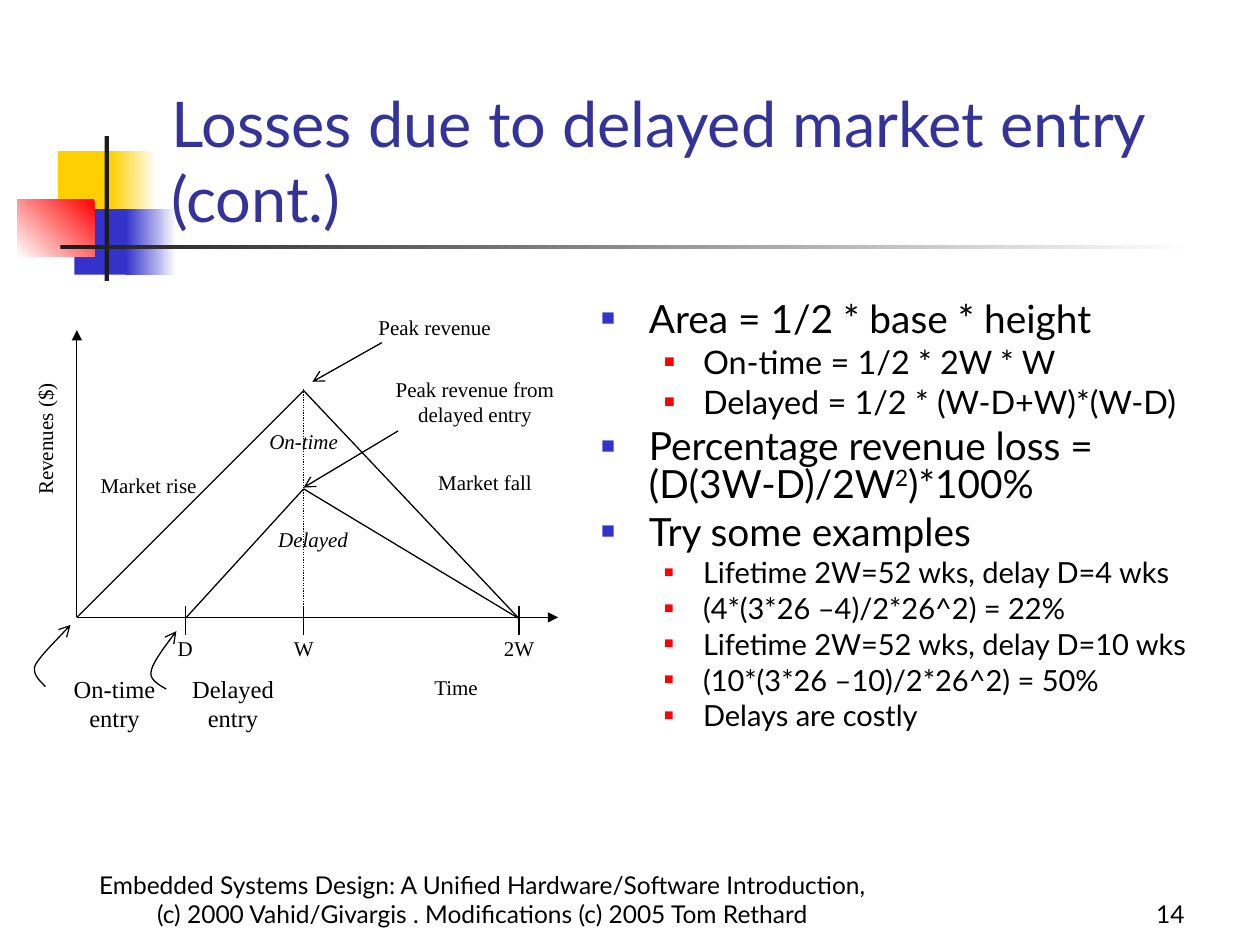
from lxml.etree import SubElement
from pptx import Presentation
from pptx.dml.color import RGBColor
from pptx.enum.dml import MSO_LINE
from pptx.enum.shapes import MSO_CONNECTOR, MSO_SHAPE
from pptx.enum.text import MSO_ANCHOR, MSO_AUTO_SIZE, PP_ALIGN
from pptx.oxml.ns import qn
from pptx.util import Inches, Pt

BLACK = RGBColor(0x00, 0x00, 0x00)
WHITE = RGBColor(0xFF, 0xFF, 0xFF)
YELLOW = RGBColor(0xFF, 0xCF, 0x01)
BLUE = RGBColor(0x33, 0x33, 0xCC)
RED = RGBColor(0xFF, 0x00, 0x00)
CHARCOAL = RGBColor(0x1C, 0x1C, 0x1C)
INDIGO = RGBColor(0x33, 0x33, 0x99)
SANS, SERIF = "Lato", "Times New Roman"
COLUMNS, ROWS = 100, 75


class SlideSketch:
    """Draws styled elements on one slide, with lengths in columns and rows of a 100 by 75 grid."""

    def __init__(self, deck):
        self.column = deck.slide_width / COLUMNS
        self.row = deck.slide_height / ROWS
        self.slide = deck.slides.add_slide(deck.slide_layouts[1])
        self.shapes = self.slide.shapes

    def place(self, x, y):
        return round(x * self.column), round(y * self.row)

    def frame(self, box):
        return self.place(*box[:2]) + self.place(*box[2:])

    def font(self, paragraph, size, name=SANS, color=BLACK, italic=None):
        font = paragraph.font
        font.size, font.name, font.italic = Pt(size), name, italic
        font.color.rgb = color

    def block(self, box, color, fade=None):
        block = self.shapes.add_shape(MSO_SHAPE.RECTANGLE, *self.frame(box))
        block.shadow.inherit = False
        block.line.fill.background()
        if fade is None:
            block.fill.solid()
            block.fill.fore_color.rgb = color
            return
        block.fill.gradient()
        block.fill.gradient_angle = fade
        for stop, shade in zip(block.fill.gradient_stops, (color, WHITE)):
            stop.color.rgb = shade

    def placeholder(self, holder, box):
        holder.left, holder.top, holder.width, holder.height = self.frame(box)
        self.shapes._spTree.append(holder._element)
        holder.text_frame.auto_size = MSO_AUTO_SIZE.NONE
        return holder.text_frame

    def title(self, box, text):
        heading = self.placeholder(self.shapes.title, box)
        heading.vertical_anchor = MSO_ANCHOR.BOTTOM
        heading.text = text
        heading.paragraphs[0].alignment = PP_ALIGN.LEFT
        self.font(heading.paragraphs[0], 36, color=INDIGO)

    def bullets(self, box, items):
        body = self.placeholder(self.slide.placeholders[1], box)
        for index, (level, size, before, text) in enumerate(items):
            item = body.paragraphs[0] if index == 0 else body.add_paragraph()
            item.level = level
            self.bullet(item, level)
            item.line_spacing = 0.8
            item.space_before = Pt(before if index else 0)
            for part, piece in enumerate(text.split("²")):
                if part:
                    square = item.add_run()
                    square.text = "2"
                    square.font._element.set("baseline", "30000")
                item.add_run().text = piece
            self.font(item, size)

    def bullet(self, paragraph, level):
        margin, hang, color, share = ((0.38, 0.38, BLUE, 60), (0.81, 0.31, RED, 55))[level]
        properties = paragraph._p.get_or_add_pPr()
        properties.set("marL", str(Inches(margin)))
        properties.set("indent", str(-Inches(hang)))
        SubElement(SubElement(properties, qn("a:buClr")), qn("a:srgbClr"), val=str(color))
        SubElement(properties, qn("a:buSzPct"), val=str(share * 1000))
        SubElement(properties, qn("a:buFont"), typeface="Arial")
        SubElement(properties, qn("a:buChar"), char="■")

    def label(self, box, text, size=12, italic=None, turn=0):
        label = self.shapes.add_textbox(*self.frame(box))
        label.rotation = turn
        frame = label.text_frame
        frame.word_wrap = True
        frame.margin_left = frame.margin_right = frame.margin_top = frame.margin_bottom = 0
        frame.text = text
        for paragraph in frame.paragraphs:
            paragraph.alignment = PP_ALIGN.CENTER
            self.font(paragraph, size, SERIF, italic=italic)

    def footer(self, box, text, alignment):
        footer = self.shapes.add_textbox(*self.frame(box)).text_frame
        footer.word_wrap = True
        footer.vertical_anchor = MSO_ANCHOR.BOTTOM
        footer.text = text
        footer.paragraphs[0].alignment = alignment
        self.font(footer.paragraphs[0], 14)

    def stroke(self, line, head=None, dash=None):
        line.color.rgb = BLACK
        line.width = Pt(0.75)
        if dash:
            line.dash_style = dash
        if head:
            SubElement(line._get_or_add_ln(), qn("a:tailEnd"), type=head)

    def line(self, start, end, head=None, dash=None):
        line = self.shapes.add_connector(
            MSO_CONNECTOR.STRAIGHT, *self.place(*start), *self.place(*end))
        self.stroke(line.line, head, dash)
        SubElement(line._element.spPr, qn("a:effectLst"))

    def curve(self, start, *bends, steps=12):
        points, origin = [], start
        for first, second, end in bends:
            for step in range(1, steps + 1):
                t = step / steps
                weights = (1 - t) ** 3, 3 * t * (1 - t) ** 2, 3 * t * t * (1 - t), t ** 3
                corners = origin, first, second, end
                points.append(self.place(*(
                    sum(w * c[axis] for w, c in zip(weights, corners)) for axis in (0, 1))))
            origin = end
        builder = self.shapes.build_freeform(*self.place(*start))
        builder.add_line_segments(points, close=False)
        curve = builder.convert_to_shape()
        curve.shadow.inherit = False
        curve.fill.background()
        self.stroke(curve.line, "arrow")


def draw_ornament(sketch):
    sketch.block((4.6, 12, 4.8, 5.2), YELLOW)
    sketch.block((8.8, 12, 3.6, 5.2), YELLOW, fade=0)
    sketch.block((5.9, 16.6, 4.6, 5.2), BLUE)
    sketch.block((10, 16.6, 4, 5.2), BLUE, fade=0)
    sketch.block((1.4, 15.8, 6.1, 4.6), RED, fade=225)
    sketch.block((8.3, 10.8, 0.35, 11.5), CHARCOAL)
    sketch.block((4.8, 19.45, 90, 0.35), CHARCOAL, fade=0)


def draw_market_model(sketch):
    origin, entry, end = (6.1, 49), (14.7, 49.1), (41.2, 49.1)
    peak, delayed_peak = (24.1, 31), (24.1, 38.8)
    sketch.line(origin, (44.3, 49), "triangle")
    sketch.line(origin, (6.1, 26.2), "triangle")
    sketch.line((24.1, 49), (24.1, 30.9), dash=MSO_LINE.ROUND_DOT)
    for start, finish in ((origin, peak), (peak, end), (entry, delayed_peak), (delayed_peak, end)):
        sketch.line(start, finish)
    sketch.line((30.3, 27.2), (24.8, 30.3), "arrow")
    sketch.line((31.6, 34.2), (24.1, 38.7), "arrow")
    for x, name in ((14.7, "D"), (24.1, "W"), (41.2, "2W")):
        sketch.line((x, 48.1), (x, 50.4))
        sketch.label((x - 1.55, 50.4, 3.1, 3.1), name)

    sketch.label((26.3, 25, 16.4, 2.8), "Peak revenue")
    sketch.label((29.5, 29.9, 16.4, 5.4), "Peak revenue from delayed entry")
    sketch.label((7.5, 37.5, 8.6, 5.5), "Market rise")
    sketch.label((34.2, 37.3, 8.6, 5.5), "Market fall")
    sketch.label((28, 53.5, 16.4, 3.1), "Time")
    sketch.label((20.2, 34, 7.8, 3.1), "On-time", italic=True)
    sketch.label((19.4, 41.8, 10.9, 3.1), "Delayed", italic=True)
    sketch.label((-4.1, 33.3, 16.4, 3.1), "Revenues ($)", turn=270)
    sketch.label((4.6, 53.5, 9, 5), "On-time\nentry", 14)
    sketch.label((14, 53.5, 9, 5), "Delayed\nentry", 14)
    sketch.curve((3.6, 54.5), ((3.4, 54.2), (2.5, 53.6), (2.8, 52.8)),
                 ((3.2, 52), (5, 50.3), (5.6, 49.6)))
    sketch.curve((13.2, 54.7), ((12.9, 54.5), (11.8, 54), (12, 53.3)),
                 ((12.1, 52.5), (13.5, 50.8), (14, 50.1)))


def main():
    deck = Presentation()
    deck.slide_width, deck.slide_height = Inches(10), Inches(7.5)
    sketch = SlideSketch(deck)
    draw_ornament(sketch)
    sketch.title((12.6, 6.7, 85.2, 12.5), "Losses due to delayed market entry (cont.)")
    topic, formula, example = (0, 22.2, 6), (1, 18.5, 5), (1, 16.6, 4.5)
    sketch.bullets((46.7, 23.6, 49.1, 42.7), (
        (*topic, "Area = 1/2 * base * height"),
        (*formula, "On-time = 1/2 * 2W * W"),
        (*formula, "Delayed = 1/2 * (W-D+W)*(W-D)"),
        (*topic, "Percentage revenue loss = (D(3W-D)/2W²)*100%"),
        (*topic, "Try some examples"),
        (*example, "Lifetime 2W=52 wks, delay D=4 wks"),
        (*example, "(4*(3*26 –4)/2*26^2) = 22%"),
        (*example, "Lifetime 2W=52 wks, delay D=10 wks"),
        (*example, "(10*(3*26 –10)/2*26^2) = 50%"),
        (*example, "Delays are costly"),
    ))
    draw_market_model(sketch)
    sketch.footer((5.8, 69.2, 65, 5), "Embedded Systems Design: A Unified Hardware/Software Introduction, "
                  "(c) 2000 Vahid/Givargis . Modifications (c) 2005 Tom Rethard", PP_ALIGN.CENTER)
    sketch.footer((74.2, 69.2, 20.8, 5), "14", PP_ALIGN.RIGHT)
    deck.save("out.pptx")


if __name__ == "__main__":
    main()
